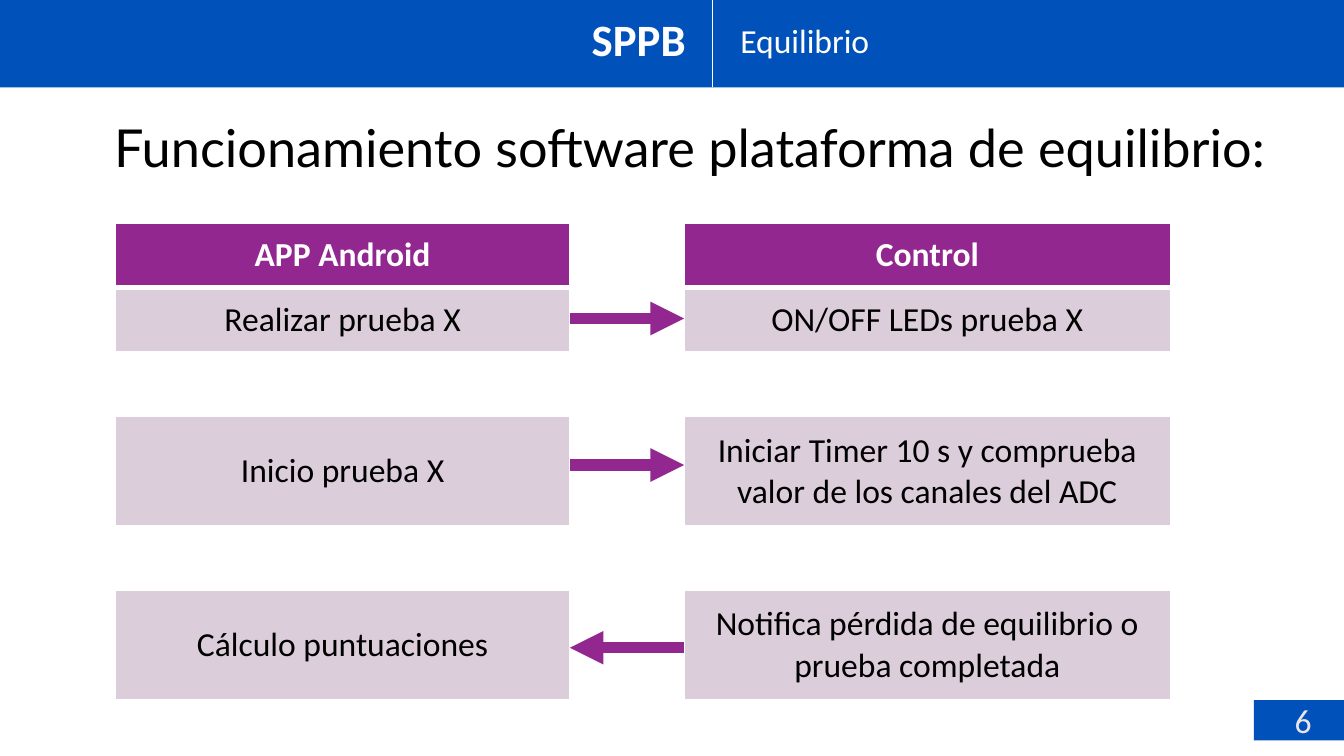
from dataclasses import dataclass

from lxml import etree
from pptx import Presentation
from pptx.dml.color import RGBColor
from pptx.enum.shapes import MSO_CONNECTOR, MSO_SHAPE
from pptx.enum.text import MSO_ANCHOR, PP_ALIGN
from pptx.oxml.ns import qn
from pptx.util import Inches, Pt

LEFT, CENTER, RIGHT = PP_ALIGN.LEFT, PP_ALIGN.CENTER, PP_ALIGN.RIGHT
TOP, MIDDLE = MSO_ANCHOR.TOP, MSO_ANCHOR.MIDDLE
RECTANGLE = MSO_SHAPE.RECTANGLE
STRAIGHT = MSO_CONNECTOR.STRAIGHT


@dataclass(frozen=True)
class Theme:
    """Colours, fonts and type sizes of the deck."""
    blue: str = "0051BA"
    purple: str = "92278F"
    lilac: str = "DCCDDB"
    pale: str = "EAE5EB"
    white: str = "FFFFFF"
    black: str = "000000"
    font: str = "Calibri"
    title_font: str = "Lato"
    title: int = 28
    section: int = 24
    body: int = 18


THEME = Theme()
ROW_HEIGHTS = [0.48, 0.48, 0.48, 0.81, 0.48, 0.82]
APP_STEPS = ["APP Android", "Realizar prueba X", "", "Inicio prueba X", "",
             "Cálculo puntuaciones"]
BOARD_STEPS = ["Control", "ON/OFF LEDs prueba X", "",
               "Iniciar Timer 10 s y comprueba valor de los canales del ADC", "",
               "Notifica pérdida de equilibrio o prueba completada"]


def write(frame, text, *, size=THEME.body, color=THEME.black, font=THEME.font,
          bold=False, align=LEFT, spacing=None):
    """Put one formatted paragraph in a text frame."""
    frame.word_wrap = True
    para = frame.paragraphs[0]
    para.alignment = align
    if spacing:
        para.line_spacing = spacing
    span = para.add_run()
    span.text = text
    span.font.size = Pt(size)
    span.font.name = font
    span.font.bold = bold
    span.font.color.rgb = RGBColor.from_string(color)


def add_text(page, box, text, anchor=MIDDLE, **style):
    """Add a text box and return its frame."""
    frame = page.shapes.add_textbox(*map(Inches, box)).text_frame
    frame.vertical_anchor = anchor
    write(frame, text, **style)
    return frame


def add_block(page, box, color):
    """Add a plain filled rectangle."""
    block = page.shapes.add_shape(RECTANGLE, *map(Inches, box))
    block.shadow.inherit = False
    block.fill.solid()
    block.fill.fore_color.rgb = RGBColor.from_string(color)
    block.line.fill.background()
    return block


def add_line(page, start, end, color, width, arrow=False):
    """Add a straight line, with an arrowhead at its end if asked."""
    line = page.shapes.add_connector(STRAIGHT, *map(Inches, (*start, *end)))
    line.line.color.rgb = RGBColor.from_string(color)
    line.line.width = Pt(width)
    if arrow:
        outline = line._element.spPr.find(qn("a:ln"))
        etree.SubElement(outline, qn("a:tailEnd"), type="triangle")
    etree.SubElement(line._element.spPr, qn("a:effectLst"))


def set_borders(cell, color, width, bottom_width):
    """Draw the four borders of a table cell ahead of its fill."""
    properties = cell._tc.get_or_add_tcPr()
    widths = {"lnL": width, "lnR": width, "lnT": width, "lnB": bottom_width}
    for position, (side, points) in enumerate(widths.items()):
        border = etree.Element(qn(f"a:{side}"), w=str(Pt(points)))
        fill = etree.SubElement(border, qn("a:solidFill"))
        etree.SubElement(fill, qn("a:srgbClr"), val=color)
        properties.insert(position, border)


def add_header(page, box, section, topic):
    """Build the top band with section and topic on each side of a divider."""
    left, top, width, height = box
    divider = left + 0.53 * width
    add_block(page, box, THEME.blue)
    add_line(page, (divider, top), (divider, top + height), THEME.white, 0.25)
    add_text(page, (left + 0.75, top + 0.04, 4.45, 0.55), section,
             size=THEME.section, color=THEME.white, bold=True, align=RIGHT, spacing=0.9)
    add_text(page, (divider + 0.11, top + 0.04, 3.77, 0.55), topic,
             color=THEME.white, spacing=0.9)


def add_title(page, box, text):
    """Build the heading above the flow."""
    frame = add_text(page, box, text, anchor=TOP, size=THEME.title,
                     font=THEME.title_font, spacing=0.9)
    frame.margin_left = Inches(0.35)


def add_steps(page, box, steps):
    """Build one table column of steps under a purple heading."""
    grid = page.shapes.add_table(len(steps), 1, *map(Inches, box)).table
    for index, (text, height) in enumerate(zip(steps, ROW_HEIGHTS)):
        heading = index == 0
        grid.rows[index].height = Inches(height)
        cell = grid.cell(index, 0)
        cell.vertical_anchor = MIDDLE
        fill = THEME.purple if heading else THEME.lilac if text else THEME.white
        cell.fill.solid()
        cell.fill.fore_color.rgb = RGBColor.from_string(fill)
        set_borders(cell, THEME.white, 1, 3 if heading else 1)
        if text:
            write(cell.text_frame, text, bold=heading, align=CENTER,
                  color=THEME.white if heading else THEME.black)


def add_flow(page, box):
    """Build both step columns and the arrows that cross the gap."""
    left, top, width, height = box
    app_width, board_width = 3.38, 3.62
    app_edge, board_edge = left + app_width, left + width - board_width
    add_steps(page, (board_edge, top, board_width, height), BOARD_STEPS)
    add_steps(page, (left, top, app_width, height), APP_STEPS)
    for offset, start, end in [(0.71, app_edge, board_edge),
                               (1.8, app_edge, board_edge),
                               (3.16, board_edge, app_edge)]:
        add_line(page, (start, top + offset), (end, top + offset),
                 THEME.purple, 6, arrow=True)


def add_page_number(page, box, number):
    """Build the numbered block in the bottom corner."""
    frame = add_block(page, box, THEME.blue).text_frame
    frame.vertical_anchor = MIDDLE
    frame.margin_left = Inches(0.16)
    write(frame, number, color=THEME.pale, align=CENTER)


def main():
    """Build the deck and save it."""
    deck = Presentation()
    deck.slide_width = Inches(10)
    deck.slide_height = deck.slide_width * 9 // 16
    page = deck.slides.add_slide(deck.slide_layouts[6])
    add_header(page, (0, 0, 10, 0.65), "SPPB", "Equilibrio")
    add_page_number(page, (9.33, 5.21, 0.67, 0.3), "6")
    add_title(page, (0.5, 0.86, 9.19, 0.6),
              "Funcionamiento software plataforma de equilibrio:")
    add_flow(page, (0.86, 1.66, 7.85, sum(ROW_HEIGHTS)))
    deck.save("out.pptx")


if __name__ == "__main__":
    main()
